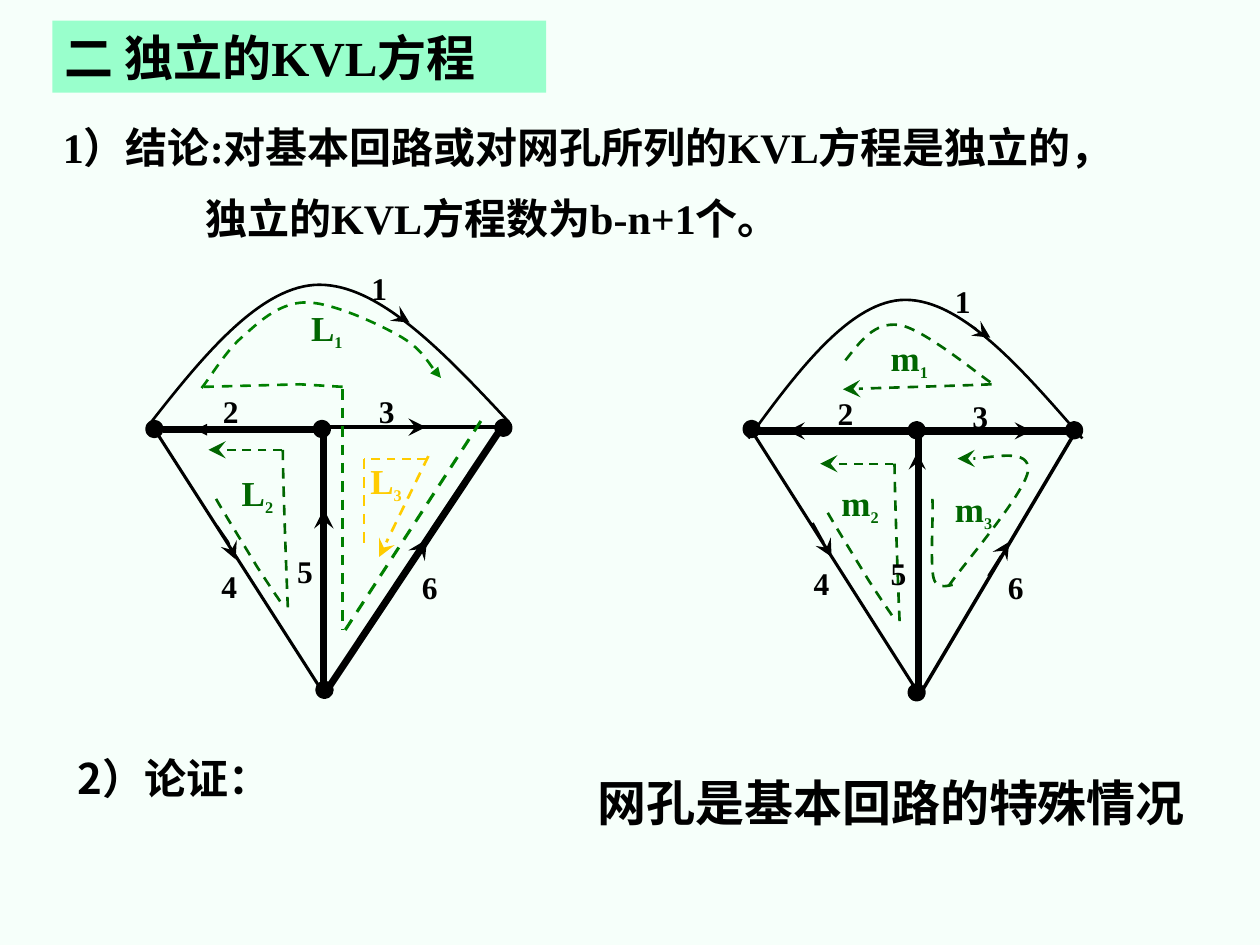
import pptx
import pptx.dml.color
import pptx.enum.dml
import pptx.enum.shapes
import pptx.enum.text
import pptx.oxml.ns
import pptx.util
from lxml import etree

SERIF, SANS = "Times New Roman", "Noto Sans CJK SC"
BLACK, DARK, GREEN, YELLOW = "000000", "006600", "008000", "FFCC00"
SHAPE = pptx.enum.shapes.MSO_SHAPE

prs = pptx.Presentation()
prs.slide_width = pptx.util.Inches(10)
prs.slide_height = pptx.util.Inches(7.5)
CELL = prs.slide_width / 100  # the slide is a grid of 100 columns by 75 rows


def grid(*values):
    return [round(v * CELL) for v in values]


def rgb(value):
    return pptx.dml.color.RGBColor.from_string(value)


def sub(parent, tag, **attrs):
    return etree.SubElement(parent, pptx.oxml.ns.qn(tag), attrs)


def set_font(font, size, name=SERIF, color=BLACK):
    font.size, font.bold, font.name = pptx.util.Pt(size), True, name
    font.color.rgb = rgb(color)
    sub(font._element, "a:ea", typeface=SANS)


def text_box(slide, box, lines, size, name=SERIF, color=BLACK):
    sp = slide.shapes.add_textbox(*grid(*box))
    tf = sp.text_frame
    tf.word_wrap = True
    tf.auto_size = pptx.enum.text.MSO_AUTO_SIZE.SHAPE_TO_FIT_TEXT
    for i, line in enumerate(lines):
        p = tf.add_paragraph() if i else tf.paragraphs[0]
        p.add_run().text = line
        set_font(p.font, size, name, color)
    return sp


def make_cubic(sp):
    """Turns every three line segments of a freeform into one cubic curve."""
    segments = list(sp._element.iter(pptx.oxml.ns.qn("a:lnTo")))
    outline = segments[0].getparent()
    for i in range(0, len(segments), 3):
        curve = sub(outline, "a:cubicBezTo")
        for segment in segments[i:i + 3]:
            curve.append(segment[0])
            outline.remove(segment)


def stroke(slide, origin, points, width, color=BLACK, head=None):
    """Two points: line. Three: bent line. More: cubic curve. Coloured: dashed."""
    pts = [tuple(grid(origin[0] + x, origin[1] + y)) for x, y in points]
    if len(pts) == 2:
        sp = slide.shapes.add_connector(pptx.enum.shapes.MSO_CONNECTOR.STRAIGHT, *pts[0], *pts[1])
    else:
        builder = slide.shapes.build_freeform(*pts[0])
        builder.add_line_segments(pts[1:], close=False)
        sp = builder.convert_to_shape()
        sp.fill.background()
        if len(pts) > 3:
            make_cubic(sp)
    sp.line.width = pptx.util.Pt(width)
    sp.line.color.rgb = rgb(color)
    if color != BLACK:
        sp.line.dash_style = pptx.enum.dml.MSO_LINE.DASH
    if head:
        size = "lg" if head == "stealth" else "med"
        sub(sp.line._get_or_add_ln(), "a:tailEnd", type=head, w=size, len=size)
    sub(sp._element.spPr, "a:effectLst")


def arc(slide, x, y, w, h):
    shares = [(0, 0), (.15, .5), (.31, 1), (.47, 1), (.64, 1), (.82, .5), (1, 0)]
    stroke(slide, (x, y), [(w * sx, -h * sy) for sx, sy in shares], 1.5)


def triangle_loop(slide, x, y):
    stroke(slide, (x, y), [(0, 0), (-5.8, 0)], 1.25, DARK, "stealth")
    stroke(slide, (x, y), [(.5, 12.5), (.4, 10.4), (.1, 2.1), (.1, 0)], 1.5, DARK)
    stroke(slide, (x, y), [(-5.2, 3.9), (-4.7, 4.8), (-2.9, 7.7), (-2, 9.2),
                           (-1.1, 10.6), (-.2, 11.9), (.2, 12.5)], 1.5, DARK)


def graph(slide, x, y, arc_box, loop_at, nodes, strokes, numbers, loops, top_strokes=()):
    """One circuit graph; all parts are placed from the corner x, y."""
    # Outer branch and the loop of the left triangle
    arc(slide, x + arc_box[0], y + arc_box[1], *arc_box[2:])
    triangle_loop(slide, x + loop_at[0], y + loop_at[1])
    # Nodes
    for nx, ny in nodes:
        sp = slide.shapes.add_shape(SHAPE.OVAL, *grid(x + nx - .45, y + ny - .45, .9, .9))
        sp.shadow.inherit = False
        sp.fill.solid()
        sp.fill.fore_color.rgb = sp.line.color.rgb = rgb(BLACK)
        sp.line.width = pptx.util.Pt(4)
    # Branches, direction arrows and loops
    for args in strokes:
        stroke(slide, (x, y), *args)
    # Branch numbers
    for number, (lx, ly) in enumerate(numbers, 1):
        text_box(slide, (x + lx, y + ly, 3.7, 4), [str(number)], 18)
    # Loop names with subscripts
    for letter, index, lx, ly, color in loops:
        sp = text_box(slide, (x + lx, y + ly, 5.5, 4.6), [letter], 20, color=color)
        r = sp.text_frame.paragraphs[0].add_run()
        r.text = index
        r.font.size = pptx.util.Pt(16)
        r.font._element.set("baseline", "-25000")
    for args in top_strokes:
        stroke(slide, (x, y), *args)


def loop_graph(slide, x, y):
    graph(
        slide, x, y, (0, 13.5, 28.4, 10.9), (10.35, 15.7),
        [(13.55, 14.05), (27.95, 13.95), (13.75, 34.75), (.25, 14.05)],
        [([(13.7, 14.3), (13.7, 34.4)], 4),
         ([(-.1, 13.5), (13.6, 34.9)], 1.75),
         ([(27.5, 14.4), (14.2, 34.4)], 4),
         ([(.9, 14.1), (13.4, 14.1)], 4),
         ([(14, 13.9), (28.1, 13.9)], 2),
         ([(17.6, 3.8), (20.5, 5.6)], .75, BLACK, "stealth"),
         ([(8.7, 14.1), (3.5, 14.1)], 2.25, BLACK, "triangle"),
         ([(18.4, 13.9), (21.8, 13.9)], 2, BLACK, "stealth"),
         ([(5.2, 21.7), (6.1, 23), (6.7, 24.4)], 1.25, BLACK, "stealth"),
         ([(13.7, 23.9), (13.7, 20.4)], 2.25, BLACK, "stealth"),
         ([(20.1, 25.6), (21.9, 22.8)], 2.25, BLACK, "stealth"),
         ([(15.2, 10.9), (15.2, 30)], 1.5, GREEN),
         ([(15.4, 30), (26.5, 12.9)], 1.75, GREEN),
         ([(4, 10.8), (4.6, 10.1), (6, 7.7), (7.4, 6.6), (8.7, 5.4), (10.3, 4), (12.3, 4),
           (14.3, 4), (17.8, 5.6), (19.6, 6.6), (21.4, 7.6), (22.3, 9.3), (23, 10)],
          1.5, GREEN, "triangle"),
         ([(15.2, 10.7), (11.8, 10.5), (4.2, 10.7)], 1.5, GREEN),
         ([(21.8, 16.4), (16.9, 16.4)], 1.25, YELLOW),
         ([(16.9, 16.4), (16.9, 23.3)], 1.5, YELLOW),
         ([(22, 16.2), (18.1, 24.2)], 1.5, YELLOW, "stealth")],
        [(16.5, .85), (4.7, 10.6), (17.1, 10.6), (4.6, 24.5), (10.6, 23.3), (20.5, 24.6)],
        [("L", "1", 11.7, 3.8, DARK), ("L", "2", 6.2, 16.9, DARK), ("L", "3", 16.4, 16, YELLOW)])


def mesh_graph(slide, x, y):
    graph(
        slide, x, y, (.4, 14.8, 26.5, 11), (11.9, 16.8),
        [(13.75, 14.15), (26.25, 14.15), (13.75, 34.95), (.65, 14.05)],
        [([(.6, 14.1), (14.2, 35.5)], 1.75),
         ([(26.1, 14.7), (14.2, 34.8)], 2),
         ([(16.8, 5), (19.6, 6.8)], .75, BLACK, "stealth"),
         ([(8.8, 14.2), (3.5, 14.2)], 1.75, BLACK, "stealth"),
         ([(17.7, 14.2), (22.9, 14.2)], 1.75, BLACK, "stealth"),
         ([(5.5, 21.5), (7, 24.2)], 1.25, BLACK, "stealth"),
         ([(13.8, 19.5), (13.8, 15.9)], 1.5, BLACK, "stealth"),
         ([(19.4, 25.7), (21.1, 23)], .75, BLACK, "stealth"),
         ([(19.7, 10.5), (17.7, 10.6), (10.3, 10.8), (7.9, 10.9)], 1.5, DARK, "stealth"),
         ([(8.1, 8.6), (9.3, 7.1), (10.4, 5.5), (12.4, 5.8), (14.3, 6.1), (18.5, 9.6),
           (19.7, 10.4)], 1.5, DARK),
         ([(15, 19.6), (15.1, 20.6), (14.8, 24.8), (15.1, 25.9), (15.4, 27), (16.6, 26.3),
           (16.9, 26.4)], 1.5, DARK),
         ([(16.3, 26.5), (17.3, 25), (22.5, 19), (22.6, 17.3), (22.7, 15.6), (18.2, 16.6),
           (17, 16.4)], 1.5, DARK, "stealth")],
        [(15.8, 1.9), (6.5, 10.8), (17.2, 11), (4.6, 24.3), (10.7, 23.5), (20, 24.6)],
        [("m", "1", 10.7, 6.2, DARK), ("m", "2", 6.8, 17.7, DARK), ("m", "3", 15.8, 18.2, DARK)],
        [([(.5, 14.2), (26.4, 14.2)], 4.5), ([(13.9, 35), (13.9, 14.2)], 4.5)])


def heading(slide, box):
    sp = slide.shapes.add_shape(SHAPE.RECTANGLE, *grid(*box))
    sp.shadow.inherit = False
    sp.fill.solid()
    sp.fill.fore_color.rgb = rgb("99FFCC")
    sp.line.fill.background()
    p = sp.text_frame.paragraphs[0]
    p.alignment = pptx.enum.text.PP_ALIGN.LEFT
    for part, name in (("二 独立的", SANS), ("KVL", SERIF), ("方程", SANS)):
        r = p.add_run()
        r.text = part
        set_font(r.font, 28, name)


def conclusion(slide, box):
    sp = text_box(slide, box, ["1）结论:对基本回路或对网孔所列的KVL方程是独立的，",
                               "独立的KVL方程数为b-n+1个。"], 24)
    first, second = sp.text_frame.paragraphs
    first.line_spacing = second.line_spacing = 1.2
    second.space_before = pptx.util.Pt(6)
    second._p.get_or_add_pPr().set("marL", str(grid(11.3)[0]))


slide = prs.slides.add_slide(prs.slide_layouts[6])
slide.background.fill.solid()
slide.background.fill.fore_color.rgb = rgb("F6FFFA")
heading(slide, (4.15, 1.65, 39.2, 5.7))
conclusion(slide, (4, 8.35, 90.1, 11.5))
text_box(slide, (5.2, 59.2, 17, 5), ["2）论证："], 24, SANS)
text_box(slide, (46.45, 60.8, 51, 5.7), ["网孔是基本回路的特殊情况"], 28)
loop_graph(slide, 12, 20)
mesh_graph(slide, 59, 20)
prs.save("out.pptx")
